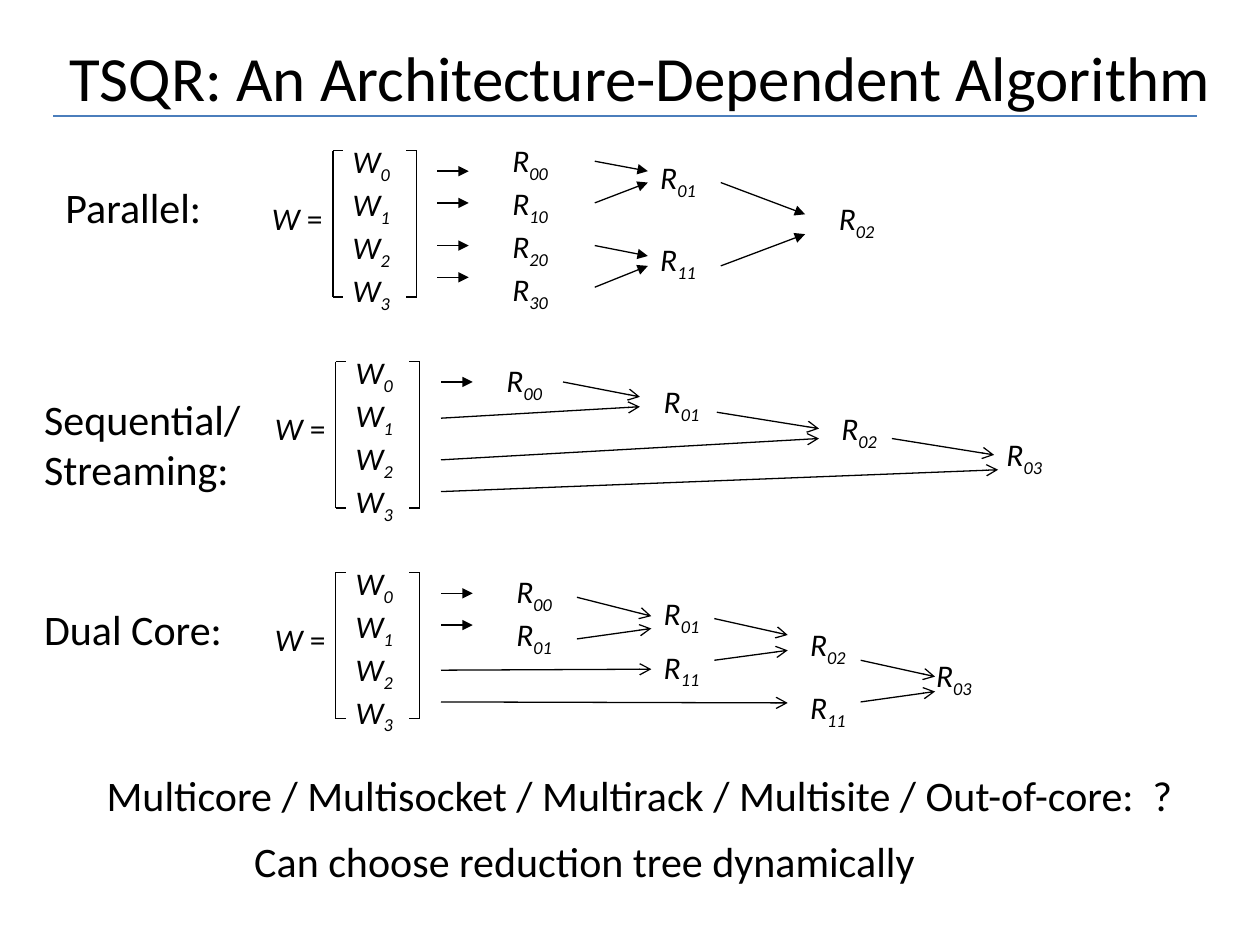
"""Build the slide on TSQR reduction trees for three architectures."""
from dataclasses import dataclass

from lxml import etree
from pptx import Presentation
from pptx.dml.color import RGBColor
from pptx.enum.shapes import MSO_CONNECTOR
from pptx.enum.text import MSO_ANCHOR, MSO_AUTO_SIZE, PP_ALIGN
from pptx.oxml.ns import qn
from pptx.util import Cm, Pt

STRAIGHT = MSO_CONNECTOR.STRAIGHT
FIT = MSO_AUTO_SIZE.SHAPE_TO_FIT_TEXT
FIXED = MSO_AUTO_SIZE.NONE
TOP, MIDDLE = MSO_ANCHOR.TOP, MSO_ANCHOR.MIDDLE
LEFT, CENTER = PP_ALIGN.LEFT, PP_ALIGN.CENTER


@dataclass(frozen=True)
class Theme:
    font: str = "Calibri"
    ink: RGBColor = RGBColor(0x00, 0x00, 0x00)
    rule: RGBColor = RGBColor(0x4B, 0x7E, 0xBC)
    title: int = 36
    body: int = 24
    math: int = 18
    line: float = 0.75


THEME = Theme()

SCHEMES = [
    {
        "label": (["Parallel:"], 1.07, 3.53, 4.17),
        "matrix": (6.71, 3.04),
        "factors": [
            (10.08, 2.72, ["00", "10", "20", "30"]),
            (13.06, 3.07, ["01"]),
            (13.06, 4.72, ["11"]),
            (16.66, 3.89, ["02"]),
        ],
        "triangle": [
            *((8.81, y, 9.45, y) for y in (3.45, 4.09, 4.95, 5.59)),
            (11.99, 3.25, 13.06, 3.45),
            (11.99, 4.09, 13.06, 3.68),
            (11.99, 4.95, 13.06, 5.16),
            (11.99, 5.79, 13.06, 5.36),
            (14.53, 3.68, 16.23, 4.32),
            (14.53, 5.36, 16.23, 4.72),
        ],
        "arrow": [],
    },
    {
        "label": (["Sequential/", "Streaming:"], 0.64, 7.8, 5.08),
        "matrix": (6.77, 7.29),
        "factors": [
            (9.96, 7.16, ["00"]),
            (13.13, 7.57, ["01"]),
            (16.71, 8.13, ["02"]),
            (20.04, 8.64, ["03"]),
        ],
        "triangle": [(8.89, 7.7, 9.53, 7.7)],
        "arrow": [
            (11.35, 7.7, 12.9, 8),
            (8.89, 8.43, 12.9, 8.2),
            (14.45, 8.31, 16.51, 8.64),
            (8.89, 9.27, 16.51, 8.84),
            (17.98, 8.84, 20.04, 9.17),
            (8.89, 9.91, 20.12, 9.47),
        ],
    },
    {
        "label": (["Dual Core:"], 0.64, 12.04, 5.28),
        "matrix": (6.77, 11.54),
        "factors": [
            (10.16, 11.4, ["00", "01"]),
            (13.13, 11.86, ["01"]),
            (13.13, 12.93, ["11"]),
            (16.08, 12.47, ["02"]),
            (16.08, 13.74, ["11"]),
            (18.62, 13.11, ["03"]),
        ],
        "triangle": [(8.89, y, 9.53, y) for y in (11.96, 12.6)],
        "arrow": [
            (11.63, 12.04, 13.13, 12.42),
            (11.63, 12.88, 13.13, 12.67),
            (8.89, 13.51, 13.13, 13.49),
            (14.4, 12.47, 15.88, 12.8),
            (14.4, 13.31, 15.88, 13.11),
            (8.89, 14.15, 15.88, 14.17),
            (17.35, 13.31, 18.85, 13.64),
            (17.35, 14.15, 18.85, 13.94),
        ],
    },
]


def set_format(target, values):
    """Set each named attribute on the target."""
    for name, value in values.items():
        setattr(target, name, value)


def add_text(shapes, box, paragraphs, size, align=LEFT, **frame_format):
    """Add a text box; each paragraph is a list of (text, italic, subscript) runs."""
    frame = shapes.add_textbox(*map(Cm, box)).text_frame
    set_format(frame, {"word_wrap": True, "auto_size": FIT, "vertical_anchor": TOP, **frame_format})
    for index, runs in enumerate(paragraphs):
        paragraph = frame.paragraphs[0] if index == 0 else frame.add_paragraph()
        paragraph.alignment = align
        for text, italic, subscript in runs:
            run = paragraph.add_run()
            run.text = text
            set_format(run.font, {"name": THEME.font, "size": Pt(size), "italic": italic})
            run.font.color.rgb = THEME.ink
            if subscript:
                run.font._element.set("baseline", "-25000")


def add_plain(shapes, box, lines, size=THEME.body, **options):
    """Add upright text, one paragraph for each line."""
    add_text(shapes, box, [[(line, False, False)] for line in lines], size, **options)


def add_symbols(shapes, left, top, letter, indices):
    """Add a column of italic letters with subscripts."""
    paragraphs = [[(letter, True, False), (index, True, True)] for index in indices]
    height = 0.26 + 0.86 * len(indices)
    add_text(shapes, (left, top, 1.4, height), paragraphs, THEME.math, word_wrap=False)


def add_line(shapes, points, color=THEME.ink, head=None):
    """Add a straight line, with an arrowhead at its end if one is named."""
    connector = shapes.add_connector(STRAIGHT, *map(Cm, points))
    connector.line.color.rgb = color
    connector.line.width = Pt(THEME.line)
    if head:
        etree.SubElement(connector.line._get_or_add_ln(), qn("a:tailEnd"), type=head)
    etree.SubElement(connector._element.spPr, qn("a:effectLst"))


def add_matrix(shapes, left, top):
    """Add the bracketed block column W."""
    equation = [[("W", True, False), (" =", False, False)]]
    add_text(shapes, (left - 1.48, top + 0.84, 1.9, 1.12), equation, THEME.math)
    add_symbols(shapes, left + 0.15, top - 0.3, "W", "0123")
    bottom = top + 2.95
    for side, tick in ((left, 0.21), (left + 1.69, -0.21)):
        add_line(shapes, (side, top, side, bottom))
        for edge in (top, bottom):
            add_line(shapes, (side, edge, side + tick, edge))


def add_scheme(slide, scheme):
    """Add one labelled reduction tree as a group."""
    shapes = slide.shapes.add_group_shape().shapes
    add_matrix(shapes, *scheme["matrix"])
    for left, top, indices in scheme["factors"]:
        add_symbols(shapes, left, top, "R", indices)
    for head in ("triangle", "arrow"):
        for points in scheme[head]:
            add_line(shapes, points, head=head)
    lines, left, top, width = scheme["label"]
    add_plain(shapes, (left, top, width, 0.28 + 1.02 * len(lines)), lines)


def main():
    """Build and save the presentation."""
    presentation = Presentation()
    set_format(presentation, {"slide_width": Cm(25.4), "slide_height": Cm(19.05)})
    slide = presentation.slides.add_slide(presentation.slide_layouts[6])
    shapes = slide.shapes
    add_plain(shapes, (0.84, 0.76, 24.13, 1.57), ["TSQR: An Architecture-Dependent Algorithm"],
              THEME.title, align=CENTER, auto_size=FIXED, vertical_anchor=MIDDLE)
    for scheme in SCHEMES:
        add_scheme(slide, scheme)
    add_plain(shapes, (4.8, 16.71, 13.97, 1.27), ["Can choose reduction tree dynamically"],
              align=CENTER, word_wrap=False)
    add_plain(shapes, (1.9, 15.39, 22.07, 1.3),
              ["Multicore / Multisocket / Multirack / Multisite / Out-of-core:  ?"], word_wrap=False)
    add_line(shapes, (1.07, 2.34, 24.13, 2.34), THEME.rule)
    presentation.save("out.pptx")


if __name__ == "__main__":
    main()
